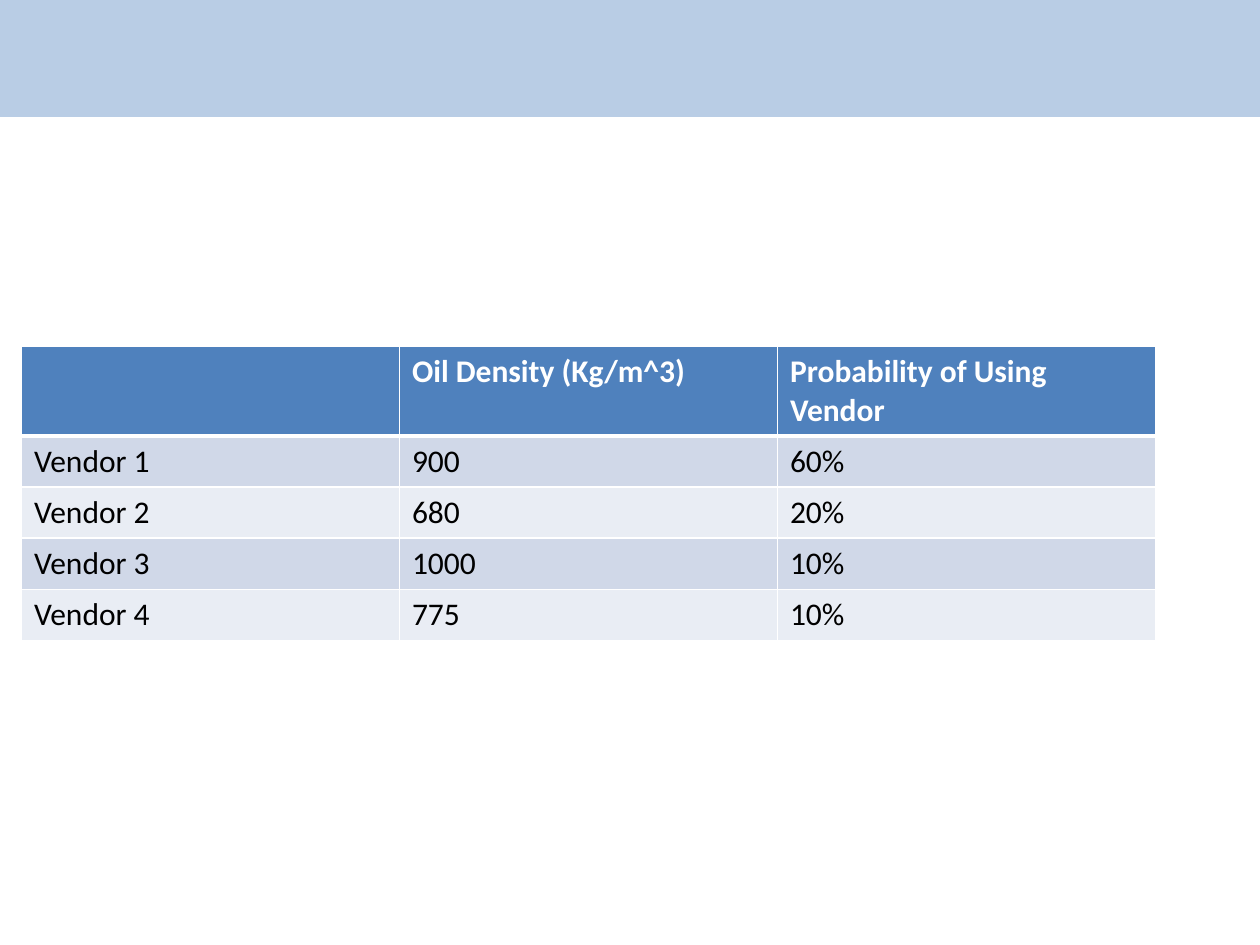
from dataclasses import dataclass

from lxml.etree import SubElement
from pptx import Presentation
from pptx.dml.color import RGBColor
from pptx.enum.shapes import MSO_SHAPE
from pptx.oxml.ns import qn
from pptx.util import Inches, Pt


@dataclass(frozen=True)
class Theme:
    """Colours and type of the slide."""
    font: str = "Calibri"
    text_size: int = 18
    banner: str = "B9CDE5"
    header: str = "4F81BD"
    bands: tuple = ("D0D8E8", "E9EDF4")
    light: str = "FFFFFF"
    dark: str = "000000"


THEME = Theme()
VENDOR_ROWS = [
    ("", "Oil Density (Kg/m^3)", "Probability of Using Vendor"),
    ("Vendor 1", "900", "60%"),
    ("Vendor 2", "680", "20%"),
    ("Vendor 3", "1000", "10%"),
    ("Vendor 4", "775", "10%"),
]


def add_banner(slide, left, top, width, height):
    """Draw the plain band across the given box."""
    banner = slide.shapes.add_shape(
        MSO_SHAPE.RECTANGLE, Inches(left), Inches(top), Inches(width), Inches(height))
    banner.shadow.inherit = False
    banner.fill.solid()
    banner.fill.fore_color.rgb = RGBColor.from_string(THEME.banner)
    banner.line.color.rgb = RGBColor.from_string(THEME.banner)
    banner.line.width = Pt(1.5)


def set_borders(cell, **widths):
    """Give the cell light borders of the given point widths per side."""
    properties = cell._tc.get_or_add_tcPr()
    for side, width in widths.items():
        line = SubElement(properties, qn(f"a:ln{side}"), w=str(Pt(width)))
        fill = SubElement(line, qn("a:solidFill"))
        SubElement(fill, qn("a:srgbClr"), val=THEME.light)


def style_cell(cell, row_index):
    """Colour a cell as header or as one of the alternating bands."""
    is_header = row_index == 0
    set_borders(cell, L=1, R=1, T=3 if row_index == 1 else 1, B=3 if is_header else 1)
    fill_color = THEME.header if is_header else THEME.bands[(row_index - 1) % 2]
    cell.fill.solid()
    cell.fill.fore_color.rgb = RGBColor.from_string(fill_color)
    font = cell.text_frame.paragraphs[0].font
    font.name = THEME.font
    font.size = Pt(THEME.text_size)
    font.bold = is_header
    font.color.rgb = RGBColor.from_string(THEME.light if is_header else THEME.dark)


def add_vendor_table(slide, rows, left, top, width, header_height, row_height):
    """Place the vendor table with equal columns and a taller header."""
    height = header_height + row_height * (len(rows) - 1)
    table = slide.shapes.add_table(
        len(rows), len(rows[0]), Inches(left), Inches(top), Inches(width), Inches(height)).table
    for row_index, values in enumerate(rows):
        table.rows[row_index].height = Inches(row_height if row_index else header_height)
        for column_index, value in enumerate(values):
            cell = table.cell(row_index, column_index)
            cell.text = value
            style_cell(cell, row_index)


def build_presentation():
    """Build and save the one-slide presentation."""
    presentation = Presentation()
    presentation.slide_width, presentation.slide_height = Inches(10), Inches(7.5)
    slide = presentation.slides.add_slide(presentation.slide_layouts[6])
    add_banner(slide, 0, 0, 10, 0.92)
    add_vendor_table(slide, VENDOR_ROWS, 0.17, 2.75, 9, 0.7, 0.4)
    presentation.save("out.pptx")


build_presentation()
